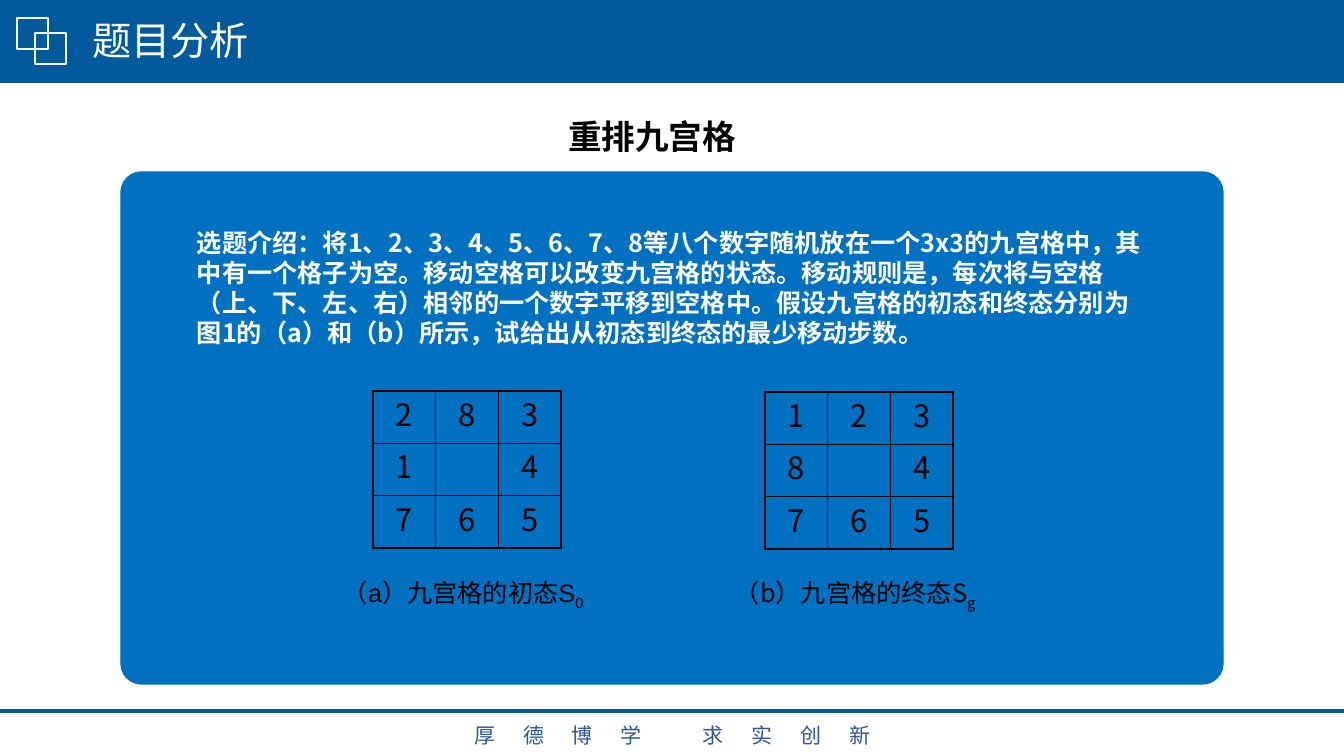
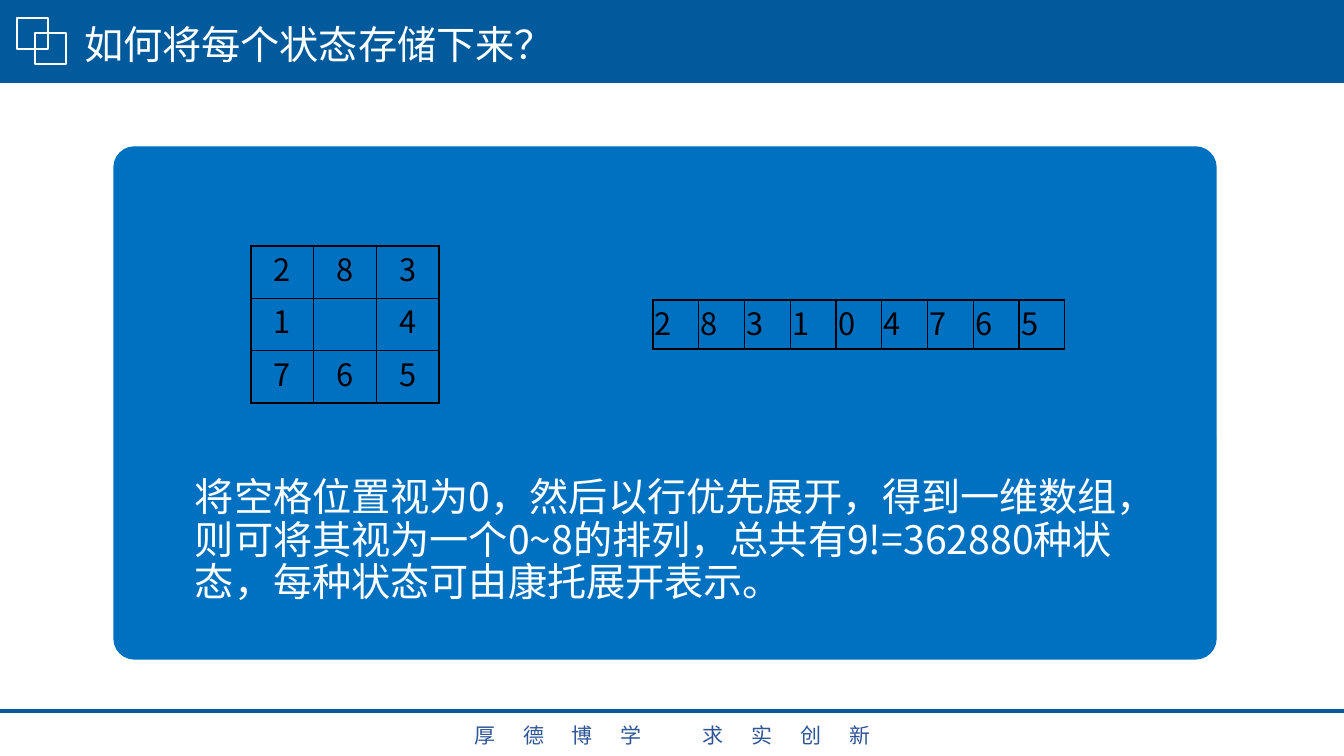
from lxml.etree import SubElement
from pptx import Presentation
from pptx.dml.color import RGBColor
from pptx.enum.shapes import MSO_CONNECTOR, MSO_SHAPE
from pptx.enum.text import MSO_ANCHOR, MSO_AUTO_SIZE, PP_ALIGN
from pptx.oxml.ns import qn
from pptx.util import Emu, Pt

SCALE = 914400 / 100.8
SLIDE_SIZE = (1344, 756)
COLORS = {
    "band": "005A9C",
    "panel": "0070C0",
    "motto": "2F5597",
    "light": "FFFFFF",
    "dark": "000000",
}
CJK = "Noto Sans CJK SC"

MOTTO = "厚德博学 求实创新"
BAND = (0, -1, 1344, 84)
LOGO_SQUARES = [(17, 18, 31, 31), (35, 33, 31, 31)]
FOOTER_Y = 711
PANEL_SIZE = (1102, 512)
TITLE_SIZE = (1159, 46)

START_GRID = ["283", "1 4", "765"]
GOAL_GRID = ["123", "8 4", "765"]
GRID = {"size": (188, 157), "inset": 7, "align": PP_ALIGN.CENTER}
ARRAY = {"size": (412, 49), "inset": 2, "align": PP_ALIGN.JUSTIFY}

HEADING = {"size": 24, "bold": True, "align": PP_ALIGN.CENTER}
INTRO = {"size": 18, "bold": True, "color": "light"}
CAPTION = {"size": 18}
SUMMARY = {"size": 28, "color": "light", "line_spacing": 0.9, "anchor": MSO_ANCHOR.MIDDLE}

SLIDES = [
    {
        "title": ("题目分析", (82, 20)),
        "panel": (121, 172),
        "texts": [
            (["重排九宫格"], (169, 111, 966, 50), HEADING),
            (["选题介绍：将1、2、3、4、5、6、7、8等八个数字随机放在一个3x3的九宫格中，"
              "其中有一个格子为空。移动空格可以改变九宫格的状态。移动规则是，"
              "每次将与空格（上、下、左、右）相邻的一个数字平移到空格中。"
              "假设九宫格的初态和终态分别为图1的（a）和（b）所示，"
              "试给出从初态到终态的最少移动步数。"], (187, 222, 970, 359), INTRO),
            (["（a）九宫格的初态S", "0"], (333, 572, 267, 40), {**CAPTION, "latin": "Arial"}),
            (["（b）九宫格的终态S", "g"], (725, 572, 336, 40), CAPTION),
        ],
        "tables": [(START_GRID, (373, 391), GRID), (GOAL_GRID, (765, 392), GRID)],
    },
    {
        "title": ("如何将每个状态存储下来？", (74, 24)),
        "panel": (114, 147),
        "texts": [
            (["将空格位置视为0，然后以行优先展开，得到一维数组，"
              "则可将其视为一个0~8的排列，总共有9!=362880种状态，"
              "每种状态可由康托展开表示。"], (185, 474, 958, 135), SUMMARY),
        ],
        "tables": [(START_GRID, (251, 246), GRID), (["283104765"], (653, 300), ARRAY)],
    },
]


def px(*lengths):
    return [Emu(round(length * SCALE)) for length in lengths]


def rgb(key):
    return RGBColor.from_string(COLORS[key])


def write(paragraph, text, size, color="dark", bold=False, latin=CJK, **attributes):
    run = paragraph.add_run()
    run.text = text
    run.font.color.rgb = rgb(color)
    for name, value in {"size": Pt(size), "bold": bold, "name": latin}.items():
        setattr(run.font, name, value)
    properties = run._r.get_or_add_rPr()
    SubElement(properties, qn("a:ea"), typeface=CJK)
    for name, value in {"lang": "zh-CN", **attributes}.items():
        properties.set(name, value)


def fill_frame(frame, parts, align=PP_ALIGN.LEFT, line_spacing=None,
               anchor=MSO_ANCHOR.TOP, **style):
    layout = {"word_wrap": True, "auto_size": MSO_AUTO_SIZE.NONE, "vertical_anchor": anchor}
    for name, value in layout.items():
        setattr(frame, name, value)
    paragraph = frame.paragraphs[0]
    paragraph.alignment = align
    paragraph.line_spacing = line_spacing
    body, *subscripts = parts
    write(paragraph, body, **style)
    for subscript in subscripts:
        write(paragraph, subscript, baseline="-25000", **style)


def add_text(slide, parts, box, style):
    label = slide.shapes.add_textbox(*px(*box))
    fill_frame(label.text_frame, parts, **style)
    return label


def add_block(slide, preset, box, fill=None, line=None, width=1):
    block = slide.shapes.add_shape(preset, *px(*box))
    block.shadow.inherit = False
    if fill:
        block.fill.solid()
        block.fill.fore_color.rgb = rgb(fill)
    else:
        block.fill.background()
    if line:
        block.line.color.rgb = rgb(line)
        block.line.width = Pt(width)
    else:
        block.line.fill.background()
    return block


def add_frame(slide):
    band = add_block(slide, MSO_SHAPE.RECTANGLE, BAND, fill="band")
    squares = [add_block(slide, MSO_SHAPE.RECTANGLE, box, line="light", width=2)
               for box in LOGO_SQUARES]
    rule = slide.shapes.add_connector(
        MSO_CONNECTOR.STRAIGHT, *px(0, FOOTER_Y, SLIDE_SIZE[0], FOOTER_Y))
    rule.line.color.rgb = rgb("band")
    rule.line.width = Pt(2.25)
    SubElement(rule.element.spPr, qn("a:effectLst"))
    motto = add_text(slide, [MOTTO], (65, 718, 1215, 35),
                     {"size": 15, "color": "motto", "align": PP_ALIGN.CENTER, "spc": "2000"})
    for part in [band, *squares, rule, motto]:
        slide.slide_layout.shapes.element.append(part.element)


def add_borders(cell):
    properties = cell._tc.get_or_add_tcPr()
    for side in ("lnL", "lnR", "lnT", "lnB"):
        border = SubElement(properties, qn(f"a:{side}"), w=str(Pt(1)))
        fill = SubElement(border, qn("a:solidFill"))
        SubElement(fill, qn("a:srgbClr"), val=COLORS["dark"])


def add_digits(slide, rows, position, style):
    width, height = style["size"]
    table = slide.shapes.add_table(
        len(rows), len(rows[0]), *px(*position, width, height)).table
    table.first_row = table.horz_banding = False
    for column in table.columns:
        column.width = px(width / len(rows[0]))[0]
    for row in table.rows:
        row.height = px(height / len(rows))[0]
    inset, = px(style["inset"])
    margins = {"margin_left": inset, "margin_right": inset, "margin_top": 0, "margin_bottom": 0}
    for cell, digit in zip(table.iter_cells(), "".join(rows)):
        add_borders(cell)
        cell.fill.background()
        for name, value in margins.items():
            setattr(cell, name, value)
        if digit != " ":
            paragraph = cell.text_frame.paragraphs[0]
            paragraph.alignment = style["align"]
            write(paragraph, digit, size=22)


def set_title(slide, text, position):
    title = slide.shapes.title
    title.left, title.top, title.width, title.height = px(*position, *TITLE_SIZE)
    fill_frame(title.text_frame, [text], size=28, color="light",
               line_spacing=0.9, anchor=MSO_ANCHOR.MIDDLE)


def main():
    deck = Presentation()
    deck.slide_width, deck.slide_height = px(*SLIDE_SIZE)
    title_only = deck.slide_layouts[5]
    for number, content in enumerate(SLIDES):
        slide = deck.slides.add_slide(title_only)
        if number == 0:
            add_frame(slide)
        set_title(slide, *content["title"])
        panel = add_block(slide, MSO_SHAPE.ROUNDED_RECTANGLE,
                          (*content["panel"], *PANEL_SIZE), fill="panel", line="panel")
        panel.adjustments[0] = 0.04
        for parts, box, style in content["texts"]:
            add_text(slide, parts, box, style)
        for rows, position, style in content["tables"]:
            add_digits(slide, rows, position, style)
    deck.save("out.pptx")


if __name__ == "__main__":
    main()
